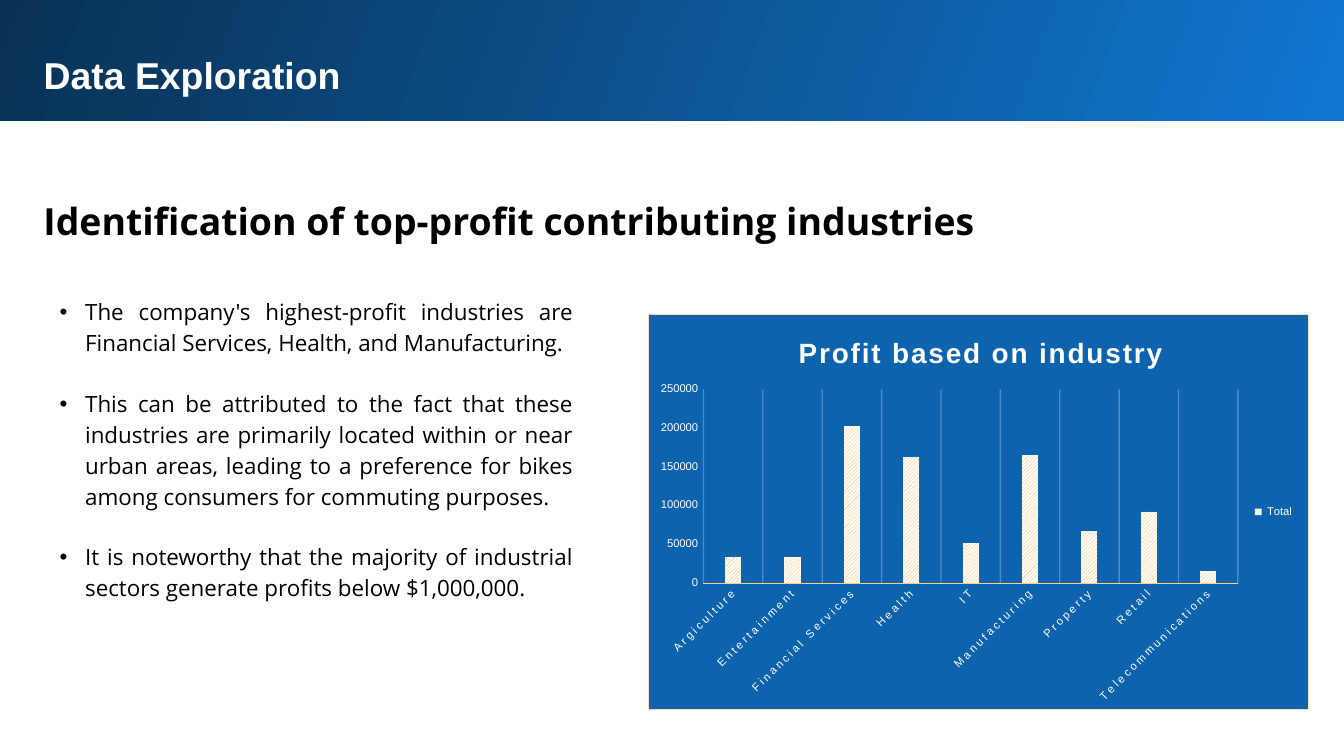
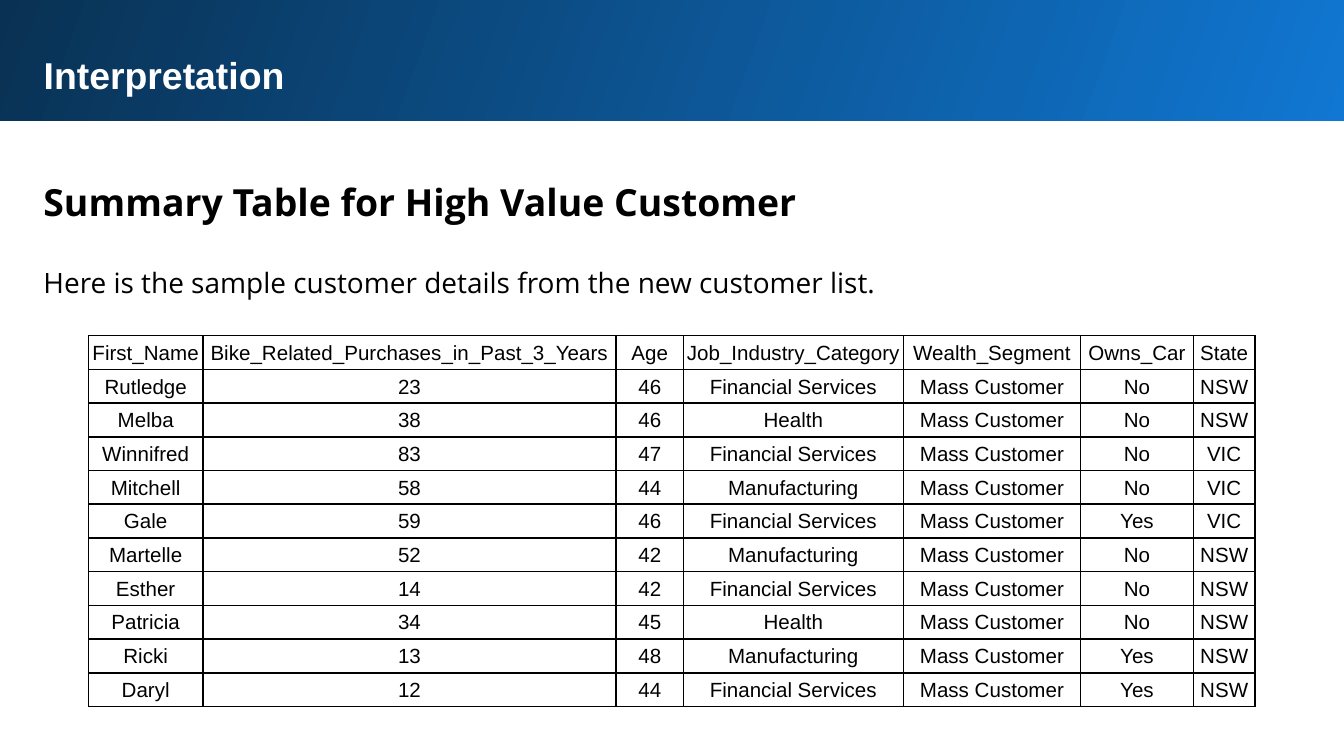
from dataclasses import dataclass

from pptx import Presentation, util as u
from pptx.chart.data import CategoryChartData
from pptx.dml.color import RGBColor
from pptx.enum import chart as ch, dml, shapes, text
from pptx.oxml import parse_xml
from pptx.oxml.ns import nsdecls, qn


@dataclass(frozen=True)
class Theme:
    """Colours, fonts and type sizes shared by the slides."""
    ink: str = "000000"
    paper: str = "FFFFFF"
    band_light: str = "1077D2"
    band_dark: str = "093153"
    panel: str = "0E63AE"
    panel_edge: str = "FFDDB3"
    axis: str = "FFCD8C"
    hatch: str = "FFAB40"
    head_font: str = "Arial"
    body_font: str = "Open Sans"
    heading: float = 20
    lead: float = 15
    body: float = 12
    cell: float = 11
    label: float = 6


T = Theme()
WIDTH = u.Inches(10)
HEIGHT = WIDTH * 9 // 16
ALIGN = text.PP_ALIGN


def box(col, row, cols, rows):
    """Turn a place on a 100 by 100 grid into slide lengths."""
    return tuple(round(n * side / 100) for n, side in
                 ((col, WIDTH), (row, HEIGHT), (cols, WIDTH), (rows, HEIGHT)))


def rgb(value):
    """Make a colour from its hex value."""
    return RGBColor.from_string(value)


def set_font(font, size, color=T.ink, name=T.head_font, bold=False):
    """Format a font."""
    font.size, font.name, font.bold = u.Pt(size), name, bold
    font.color.rgb = rgb(color)


def write(p, content, align=ALIGN.LEFT, spacing=None, before=0, **font):
    """Fill one paragraph with formatted text."""
    r = p.add_run()
    r.text = content
    set_font(r.font, **font)
    p.alignment, p.space_before = align, u.Pt(before)
    if spacing:
        p.line_spacing = spacing


def set_frame(tf):
    """Give a text frame the shared insets, wrap and anchor."""
    tf.word_wrap, tf.auto_size = True, text.MSO_AUTO_SIZE.NONE
    tf.vertical_anchor = text.MSO_ANCHOR.TOP
    tf.margin_left = tf.margin_right = tf.margin_top = tf.margin_bottom = u.Inches(0.1)


def add_text(s, place, content, **style):
    """Add a text box with one paragraph."""
    tf = s.shapes.add_textbox(*place).text_frame
    set_frame(tf)
    write(tf.paragraphs[0], content, **style)


def add_bullets(s, place, items):
    """Add a justified bullet list."""
    tf = s.shapes.add_textbox(*place).text_frame
    set_frame(tf)
    for i, item in enumerate(items):
        p = tf.add_paragraph() if i else tf.paragraphs[0]
        write(p, item, align=ALIGN.JUSTIFY, spacing=1.15, before=16 if i else 0,
              size=T.body, name=T.body_font)
        pPr = p._p.get_or_add_pPr()
        pPr.set("marL", str(u.Inches(0.19)))
        pPr.set("indent", str(-u.Inches(0.19)))
        pPr.append(parse_xml(f'<a:buFont {nsdecls("a")} typeface="Arial"/>'))
        pPr.append(parse_xml(f'<a:buChar {nsdecls("a")} char="•"/>'))


def add_slide(prs, title, title_rows):
    """Add a slide with the gradient band and its title."""
    s = prs.slides.add_slide(prs.slide_layouts[5])
    band = s.shapes.add_shape(shapes.MSO_SHAPE.RECTANGLE, *box(-0.2, -0.36, 100.5, 16.36))
    band.shadow.inherit = False
    band.line.fill.background()
    band.fill.gradient()
    band.fill.gradient_angle = 160
    for stop, color in zip(band.fill.gradient_stops, (T.band_light, T.band_dark)):
        stop.color.rgb = rgb(color)
    sp = s.shapes.title
    sp._element.addprevious(band._element)
    sp.left, sp.top, sp.width, sp.height = box(2.25, 5.16, 93.7, title_rows)
    set_frame(sp.text_frame)
    write(sp.text_frame.paragraphs[0], title, size=T.heading, color=T.paper, bold=True)
    return s


def manual_layout(x, y, w=None, h=None):
    """Build a chart layout from shares of the chart area."""
    target = '<c:layoutTarget val="inner"/>' if w else ""
    sizes = f'<c:w val="{w}"/><c:h val="{h}"/>' if w else ""
    return parse_xml(
        f'<c:layout {nsdecls("c")}><c:manualLayout>{target}<c:xMode val="edge"/>'
        f'<c:yMode val="edge"/><c:x val="{x}"/><c:y val="{y}"/>{sizes}'
        '</c:manualLayout></c:layout>')


def place_part(parent, index, layout):
    """Replace the layout of a chart part."""
    for old in parent.findall(qn("c:layout")):
        parent.remove(old)
    parent.insert(index, layout)


def style_axis(axis):
    """Apply the format that both axes share."""
    axis.major_tick_mark = axis.minor_tick_mark = ch.XL_TICK_MARK.NONE
    set_font(axis.tick_labels.font, T.label, T.paper)


def add_profit_chart(s, place, title, name, values):
    """Add the column chart on its coloured panel."""
    data = CategoryChartData()
    data.categories = list(values)
    data.add_series(name, list(values.values()))
    chart = s.shapes.add_chart(ch.XL_CHART_TYPE.COLUMN_CLUSTERED, *place, data).chart
    set_font(chart.font, T.label)
    chart._chartSpace.find(qn("c:txPr")).addprevious(parse_xml(
        f'<c:spPr {nsdecls("c", "a")}><a:solidFill><a:srgbClr val="{T.panel}"/></a:solidFill>'
        f'<a:ln w="{u.Pt(0.75)}"><a:solidFill><a:srgbClr val="{T.panel_edge}"/></a:solidFill>'
        '</a:ln></c:spPr>'))

    chart.has_title = True
    p = chart.chart_title.text_frame.paragraphs[0]
    write(p, title, align=ALIGN.CENTER, size=T.lead, color=T.paper, bold=True)
    p.runs[0].font._element.set("spc", "100")
    place_part(chart.chart_title._element, 1, manual_layout(0.22, 0.04))
    place_part(chart._chartSpace.chart.plotArea, 0, manual_layout(1 / 12, 0.19, 0.81, 0.49))

    chart.has_legend = True
    chart.legend.position = ch.XL_LEGEND_POSITION.RIGHT
    chart.legend.include_in_layout = False
    set_font(chart.legend.font, T.label, T.paper)

    plot = chart.plots[0]
    plot.gap_width, plot.overlap, plot.vary_by_categories = 269, -20, False
    fill = plot.series[0].format.fill
    fill.patterned()
    fill.pattern = dml.MSO_PATTERN.LIGHT_UPWARD_DIAGONAL
    fill.fore_color.rgb, fill.back_color.rgb = rgb(T.hatch), rgb(T.paper)

    cats, vals = chart.category_axis, chart.value_axis
    style_axis(cats)
    style_axis(vals)
    cats.format.line.color.rgb, cats.format.line.width = rgb(T.axis), u.Pt(0.25)
    cats.has_major_gridlines = True
    grid = cats.major_gridlines.format.line
    grid.color.rgb, grid.width = rgb(T.paper), u.Pt(0.75)
    color = next(cats._element.find(qn("c:majorGridlines")).iter(qn("a:srgbClr")))
    color.append(parse_xml(f'<a:alpha {nsdecls("a")} val="25000"/>'))
    labels = cats._element.find(qn("c:txPr"))
    labels.find(qn("a:bodyPr")).set("rot", "-2700000")
    next(labels.iter(qn("a:defRPr"))).set("spc", "150")
    vals.has_major_gridlines = False
    vals.format.line.fill.background()
    vals.minimum_scale, vals.maximum_scale, vals.major_unit = 0, 250000, 50000


def add_borders(cell):
    """Draw a thin line on each side of a cell."""
    tcPr = cell._tc.get_or_add_tcPr()
    for i, side in enumerate(("lnL", "lnR", "lnT", "lnB")):
        tcPr.insert(i, parse_xml(
            f'<a:{side} {nsdecls("a")} w="{u.Pt(1)}"><a:solidFill>'
            f'<a:srgbClr val="{T.ink}"/></a:solidFill></a:{side}>'))


def add_customer_table(s, place, weights, rows):
    """Add a ruled table with weighted columns and equal rows."""
    table = s.shapes.add_table(len(rows), len(weights), *place).table
    table.first_row = table.horz_banding = False
    for column, weight in zip(table.columns, weights):
        column.width = int(place[2] * weight / sum(weights))
    for i, row in enumerate(rows):
        table.rows[i].height = place[3] // len(rows)
        for j, value in enumerate(row):
            cell = table.cell(i, j)
            cell.fill.background()
            cell.vertical_anchor = text.MSO_ANCHOR.MIDDLE
            cell.margin_left = cell.margin_right = cell.margin_top = u.Inches(0.01)
            cell.margin_bottom = 0
            write(cell.text_frame.paragraphs[0], value, align=ALIGN.CENTER, size=T.cell)
            add_borders(cell)


BULLETS = (
    "The company's highest-profit industries are Financial Services, Health, and Manufacturing.",
    "This can be attributed to the fact that these industries are primarily located within or "
    "near urban areas, leading to a preference for bikes among consumers for commuting purposes.",
    "It is noteworthy that the majority of industrial sectors generate profits below $1,000,000.",
)
PROFITS = {
    "Argiculture": 34000, "Entertainment": 34000, "Financial Services": 202000,
    "Health": 163000, "IT": 51000, "Manufacturing": 165000, "Property": 67000,
    "Retail": 92000, "Telecommunications": 15000,
}
HEADER = ("First_Name", "Bike_Related_Purchases_in_Past_3_Years", "Age",
          "Job_Industry_Category", "Wealth_Segment", "Owns_Car", "State")
FINANCE, HEALTH, MAKING = "Financial Services", "Health", "Manufacturing"
CUSTOMERS = (
    ("Rutledge", 23, 46, FINANCE, "No", "NSW"),
    ("Melba", 38, 46, HEALTH, "No", "NSW"),
    ("Winnifred", 83, 47, FINANCE, "No", "VIC"),
    ("Mitchell", 58, 44, MAKING, "No", "VIC"),
    ("Gale", 59, 46, FINANCE, "Yes", "VIC"),
    ("Martelle", 52, 42, MAKING, "No", "NSW"),
    ("Esther", 14, 42, FINANCE, "No", "NSW"),
    ("Patricia", 34, 45, HEALTH, "No", "NSW"),
    ("Ricki", 13, 48, MAKING, "Yes", "NSW"),
    ("Daryl", 12, 44, FINANCE, "Yes", "NSW"),
)
COLUMN_WEIGHTS = (0.85, 3.08, 0.5, 1.64, 1.32, 0.84, 0.46)


def exploration_slide(prs):
    """Build the slide on profit by industry."""
    s = add_slide(prs, "Data Exploration", 9.07)
    add_text(s, box(2.25, 21.51, 93.7, 11.56),
             "Identification of top-profit contributing industries", align=ALIGN.JUSTIFY,
             spacing=1.5, size=T.heading, name=T.body_font, bold=True)
    add_bullets(s, box(3.45, 37.16, 40.2, 44.27), BULLETS)
    add_profit_chart(s, box(48.2, 41.5, 49.2, 52.44),
                     "Profit based on industry", "Total", PROFITS)


def interpretation_slide(prs):
    """Build the slide with the customer table."""
    s = add_slide(prs, "Interpretation", 14.76)
    add_text(s, box(2.25, 20.98, 93.7, 9.96), "Summary Table for High Value Customer",
             spacing=1.15, size=T.heading, name=T.body_font, bold=True)
    add_text(s, box(2.25, 32.71, 69.7, 8.36),
             "Here is the sample customer details from the new customer list.",
             spacing=1.15, size=T.lead, name=T.body_font)
    rows = [HEADER] + [(name, str(bikes), str(age), job, "Mass Customer", car, state)
                       for name, bikes, age, job, car, state in CUSTOMERS]
    add_customer_table(s, box(6.6, 44.4, 86.8, 49.07), COLUMN_WEIGHTS, rows)


prs = Presentation()
prs.slide_width, prs.slide_height = WIDTH, HEIGHT
exploration_slide(prs)
interpretation_slide(prs)
prs.save("out.pptx")
